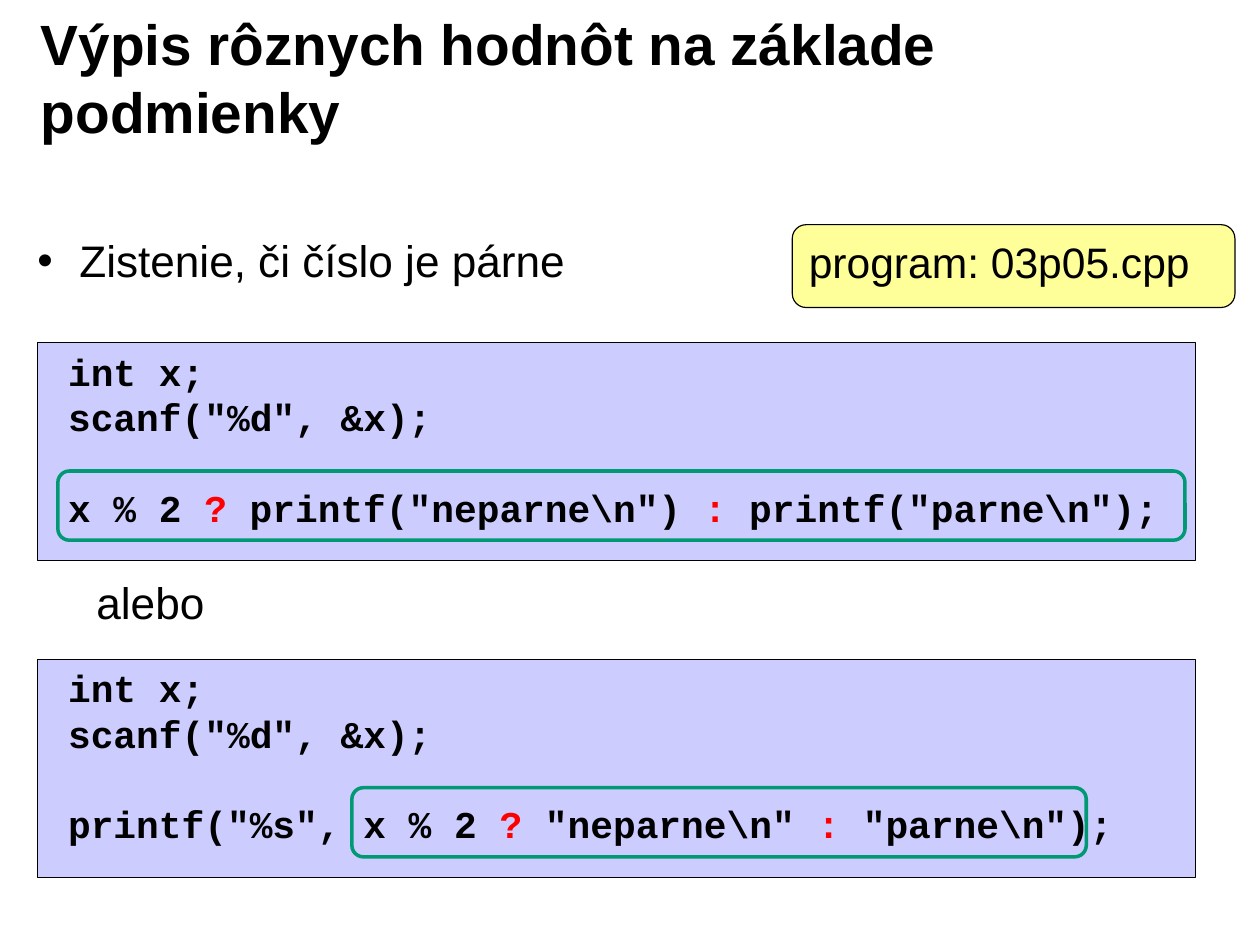
"""Build the slide on printing different values by a condition."""
from lxml.etree import SubElement
from pptx import Presentation
from pptx.dml.color import RGBColor
from pptx.enum.shapes import MSO_SHAPE
from pptx.enum.text import MSO_ANCHOR, PP_ALIGN
from pptx.oxml.ns import qn
from pptx.util import Inches, Pt

BLACK, RED, GREEN, LILAC, YELLOW = "000000", "FF0000", "009973", "CCCCFF", "FFFF99"

TITLE = "Výpis rôznych hodnôt na základe podmienky"
TASK = "Zistenie, či číslo je párne"
OR = "alebo"
PROGRAM = "program: 03p05.cpp"
SETUP = ["int x;", 'scanf("%d", &x);']
LISTINGS = [
    (3.02, ["x % 2 ", "? ", 'printf("neparne\\n") ', ": ", 'printf("parne\\n");']),
    (5.81, ['printf("%s", x % 2 ', "?", ' "neparne\\n" ', ":", ' "parne\\n");']),
]
HIGHLIGHTS = [(0.51, 4.15, 9.93, 0.61), (3.1, 6.94, 6.47, 0.61)]

HEADING = {"name": "Arial", "size": Pt(36), "bold": True}
BODY = {"name": "Arial", "size": Pt(28), "bold": False}
LABEL = {"name": "Arial", "size": Pt(27), "bold": False}
CODE = {"name": "Courier New", "size": Pt(24), "bold": True}
LINE_PITCH = 28.8


def colour(value):
    return RGBColor.from_string(value)


def add_box(kind, area, line, width, fill=None):
    box = page.shapes.add_shape(kind, *map(Inches, area))
    box.shadow.inherit = False
    if fill:
        box.fill.solid()
        box.fill.fore_color.rgb = colour(fill)
    else:
        box.fill.background()
    box.line.color.rgb = colour(line)
    box.line.width = Pt(width)
    return box


def set_frame(box, side=0.11, edge=0.06, wrap=True, anchor=MSO_ANCHOR.TOP):
    frame = box.text_frame
    layout = {
        "margin_left": Inches(side), "margin_right": Inches(side),
        "margin_top": Inches(edge), "margin_bottom": Inches(edge),
        "word_wrap": wrap, "vertical_anchor": anchor,
    }
    for key, value in layout.items():
        setattr(frame, key, value)
    return frame


def write(para, parts, style):
    para.alignment = PP_ALIGN.LEFT
    for index, text in enumerate(parts):
        span = para.add_run()
        span.text = text
        for key, value in style.items():
            setattr(span.font, key, value)
        span.font.color.rgb = colour(RED if index % 2 else BLACK)


def add_text(area, text, style, before=0, **layout):
    box = page.shapes.add_textbox(*map(Inches, area))
    para = set_frame(box, **layout).paragraphs[0]
    para.space_before = Pt(before)
    write(para, [text], style)
    return para


def add_listing(top, statement):
    add_box(MSO_SHAPE.RECTANGLE, (0.33, top, 10.2, 1.92), BLACK, 0.75, LILAC)
    box = page.shapes.add_textbox(*map(Inches, (0.51, top, 10.1, 1.74)))
    frame = set_frame(box, side=0.09, edge=0.05, wrap=False)
    for index, parts in enumerate([[line] for line in SETUP] + [statement]):
        para = frame.add_paragraph() if index else frame.paragraphs[0]
        para.line_spacing = Pt(LINE_PITCH)
        para.space_before = Pt(LINE_PITCH if parts is statement else 0)
        write(para, parts, CODE)


def add_bullet(para, indent):
    properties = para._p.get_or_add_pPr()
    properties.set("marL", str(Inches(indent)))
    properties.set("indent", str(-Inches(indent)))
    SubElement(properties, qn("a:buFont")).set("typeface", "Arial")
    SubElement(properties, qn("a:buChar")).set("char", "•")


deck = Presentation()
deck.slide_width, deck.slide_height = Inches(11.1), Inches(8.3)
page = deck.slides.add_slide(deck.slide_layouts[6])

add_text((0.25, 0.17, 8.92, 1.02), TITLE, HEADING, anchor=MSO_ANCHOR.MIDDLE)
add_bullet(add_text((0.22, 2, 10.67, 0.76), TASK, BODY, before=5.6), 0.37)
for top, statement in LISTINGS:
    add_listing(top, statement)
add_text((0.74, 5.01, 2.37, 0.76), OR, BODY, before=5.6)
for area in HIGHLIGHTS:
    add_box(MSO_SHAPE.ROUNDED_RECTANGLE, area, GREEN, 2.25)
label = add_box(MSO_SHAPE.ROUNDED_RECTANGLE, (6.98, 1.98, 3.9, 0.73), BLACK, 0.75, YELLOW)
write(set_frame(label).paragraphs[0], [PROGRAM], LABEL)

deck.save("out.pptx")
